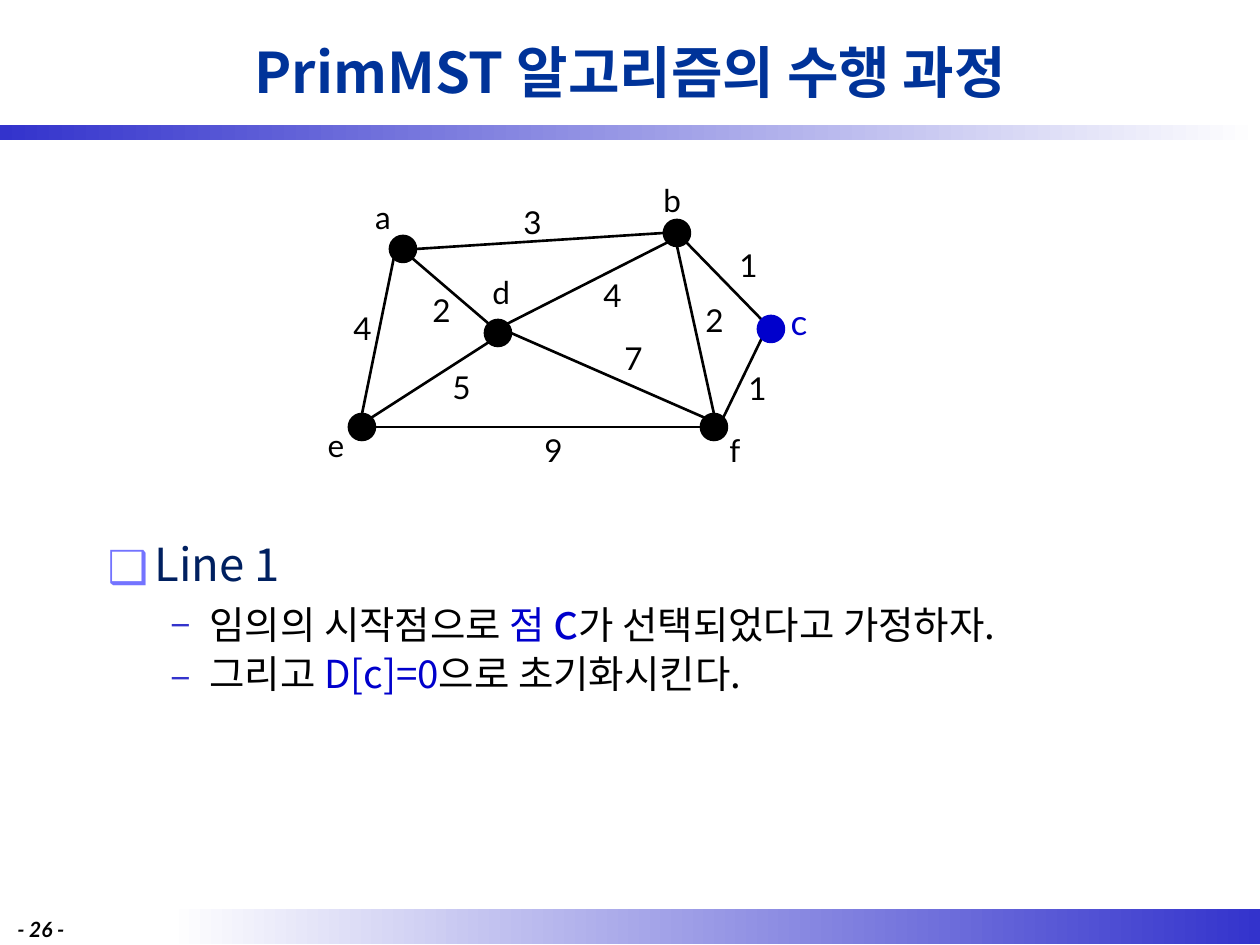
from lxml import etree
from pptx import Presentation
from pptx.dml.color import RGBColor
from pptx.enum.shapes import MSO_CONNECTOR, MSO_SHAPE
from pptx.enum.text import MSO_ANCHOR, MSO_AUTO_SIZE, PP_ALIGN
from pptx.oxml.ns import qn
from pptx.util import Emu, Pt

LINE, RECT, OVAL = MSO_CONNECTOR.STRAIGHT, MSO_SHAPE.RECTANGLE, MSO_SHAPE.OVAL
MIDDLE, NO_FIT = MSO_ANCHOR.MIDDLE, MSO_AUTO_SIZE.NONE
LEFT, CENTER = PP_ALIGN.LEFT, PP_ALIGN.CENTER
KOREAN, LATIN = "Noto Sans CJK KR", "Lato"
BLACK, BLUE, BAND, WHITE = "000000", "0000CC", "3333CC", "FFFFFF"
SCALE = 914400 / 126  # EMU per px

# Content
TITLE = "PrimMST 알고리즘의 수행 과정"
PAGE_NUMBER = "- 26 -"
BULLETS = [  # level, runs of (text, size, colour)
    (0, [("Line 1", 26, "002060")]),
    (1, [("임의의 시작점으로 ", 22, BLACK), ("점 ", 22, BLUE), ("c", 28, BLUE),
         ("가 선택되었다고 가정하자.", 22, BLACK)]),
    (1, [("그리고 ", 22, BLACK), ("D[c]=0", 22, BLUE),
         ("으로 초기화시킨다.", 22, BLACK)]),
]
LEVELS = [  # bullet, bullet colour, text indent px, hanging px
    ("❑", "7373FF", 47, 47),
    ("–", BAND, 102, 39),
]
NODES = {  # centre, label centre, colour, label size
    "a": ((403, 249), (383, 217), BLACK, 18),
    "b": ((677, 233), (672, 200), BLACK, 18),
    "c": ((771, 329), (799, 319), BLUE, 20),
    "d": ((498, 333), (501, 292), BLACK, 18),
    "e": ((362, 427), (336, 445), BLACK, 18),
    "f": ((714, 427), (735, 450), BLACK, 18),
}
EDGES = [  # node, side, node, side, weight, weight centre
    ("a", "SE", "d", "NW", 2, (441, 310)),
    ("d", "SW", "e", "NE", 5, (461, 387)),
    ("a", "SW", "e", "N", 4, (362, 328)),
    ("d", "E", "f", "NW", 7, (633, 358)),
    ("e", "E", "f", "W", 9, (553, 450)),
    ("a", "E", "b", "W", 3, (532, 222)),
    ("d", "NE", "b", "SW", 4, (612, 295)),
    ("c", "NW", "b", "SE", 1, (748, 265)),
    ("f", "NE", "c", "SW", 1, (757, 388)),
    ("b", "S", "f", "N", 2, (714, 320)),
]
DIAMETER = 26
LABEL_W, LABEL_H = 42, 50
COMPASS = {"N": (0, -1), "S": (0, 1), "E": (1, 0), "W": (-1, 0)}


def px(value):
    return Emu(round(value * SCALE))


def rgb(value):
    return RGBColor.from_string(value)


def place(shape, x, y, w, h):
    shape.left, shape.top, shape.width, shape.height = map(px, (x, y, w, h))


def write(paragraph, text, size=18, font=LATIN, color=BLACK, bold=False,
          italic=False, align=LEFT):
    paragraph.alignment = align
    run = paragraph.add_run()
    run.text = text
    run.font.size, run.font.name = Pt(size), font
    run.font.bold, run.font.italic = bold, italic
    run.font.color.rgb = rgb(color)
    east_asian = etree.SubElement(run.font._element, qn("a:ea"))
    east_asian.set("typeface", font)


def add_text(slide, x, y, w, h, text, **style):
    frame = slide.shapes.add_textbox(*map(px, (x, y, w, h))).text_frame
    frame.word_wrap = False
    write(frame.paragraphs[0], text, **style)


def add_label(slide, centre, text, **style):
    x, y = centre
    add_text(slide, x - LABEL_W / 2, y - LABEL_H / 2, LABEL_W, LABEL_H, text,
             align=CENTER, **style)


def add_band(slide, x, y, w, h, start, end):
    band = slide.shapes.add_shape(RECT, *map(px, (x, y, w, h)))
    band.shadow.inherit = False
    band.line.fill.background()
    band.fill.gradient()
    band.fill.gradient_angle = 0
    for stop, color in zip(band.fill.gradient_stops, (start, end)):
        stop.color.rgb = rgb(color)


def set_bullet(paragraph, level):
    char, color, indent, hanging = LEVELS[level]
    paragraph.level = level
    props = paragraph._p.get_or_add_pPr()
    props.set("marL", str(px(indent)))
    props.set("indent", str(-px(hanging)))
    bullet_color = etree.SubElement(props, qn("a:buClr"))
    etree.SubElement(bullet_color, qn("a:srgbClr")).set("val", color)
    etree.SubElement(props, qn("a:buFont")).set("typeface", KOREAN)
    etree.SubElement(props, qn("a:buChar")).set("char", char)


def rim_point(node, side):
    """Point on the rim of a node in a compass direction."""
    (x, y), *_ = NODES[node]
    reach = DIAMETER / 2 / len(side) ** 0.5
    return (x + reach * sum(COMPASS[s][0] for s in side),
            y + reach * sum(COMPASS[s][1] for s in side))


def add_edge(slide, start, end):
    edge = slide.shapes.add_connector(LINE, *map(px, (*start, *end)))
    edge.line.color.rgb = rgb(BLACK)
    edge.line.width = Pt(1.5)
    etree.SubElement(edge._element.spPr, qn("a:effectLst"))


def add_node(slide, centre, color):
    x, y = (c - DIAMETER / 2 for c in centre)
    node = slide.shapes.add_shape(OVAL, *map(px, (x, y, DIAMETER, DIAMETER)))
    node.shadow.inherit = False
    node.fill.solid()
    node.fill.fore_color.rgb = node.line.color.rgb = rgb(color)
    node.line.width = Pt(1.5)


def main():
    prs = Presentation()
    prs.slide_width, prs.slide_height = px(1260), px(945)
    slide = prs.slides.add_slide(prs.slide_layouts[1])
    title, body = slide.placeholders

    # Bands and page number
    add_band(slide, 168, 909, 1092, 35, WHITE, BAND)
    add_band(slide, 0, 125, 1260, 15, BAND, WHITE)
    add_text(slide, 5, 910, 89, 30, PAGE_NUMBER, size=12, bold=True, italic=True)

    # Title
    place(title, 95, 6, 1071, 130)
    title.text_frame.vertical_anchor = MIDDLE
    title.text_frame.auto_size = NO_FIT
    write(title.text_frame.paragraphs[0], TITLE, size=32, font=KOREAN,
          color="003399", bold=True, align=CENTER)

    # Steps
    place(body, 95, 530, 1071, 370)
    frame = body.text_frame
    frame.auto_size = NO_FIT
    for i, (level, runs) in enumerate(BULLETS):
        paragraph = frame.add_paragraph() if i else frame.paragraphs[0]
        set_bullet(paragraph, level)
        paragraph.space_before = Pt(0)
        for text, size, color in runs:
            write(paragraph, text, size=size, font=KOREAN, color=color)

    # Graph
    for start, start_side, end, end_side, weight, centre in EDGES:
        add_edge(slide, rim_point(start, start_side), rim_point(end, end_side))
        add_label(slide, centre, str(weight))
    for name, (centre, label_centre, color, size) in NODES.items():
        add_node(slide, centre, color)
        add_label(slide, label_centre, name, size=size, color=color)

    prs.save("out.pptx")


if __name__ == "__main__":
    main()
